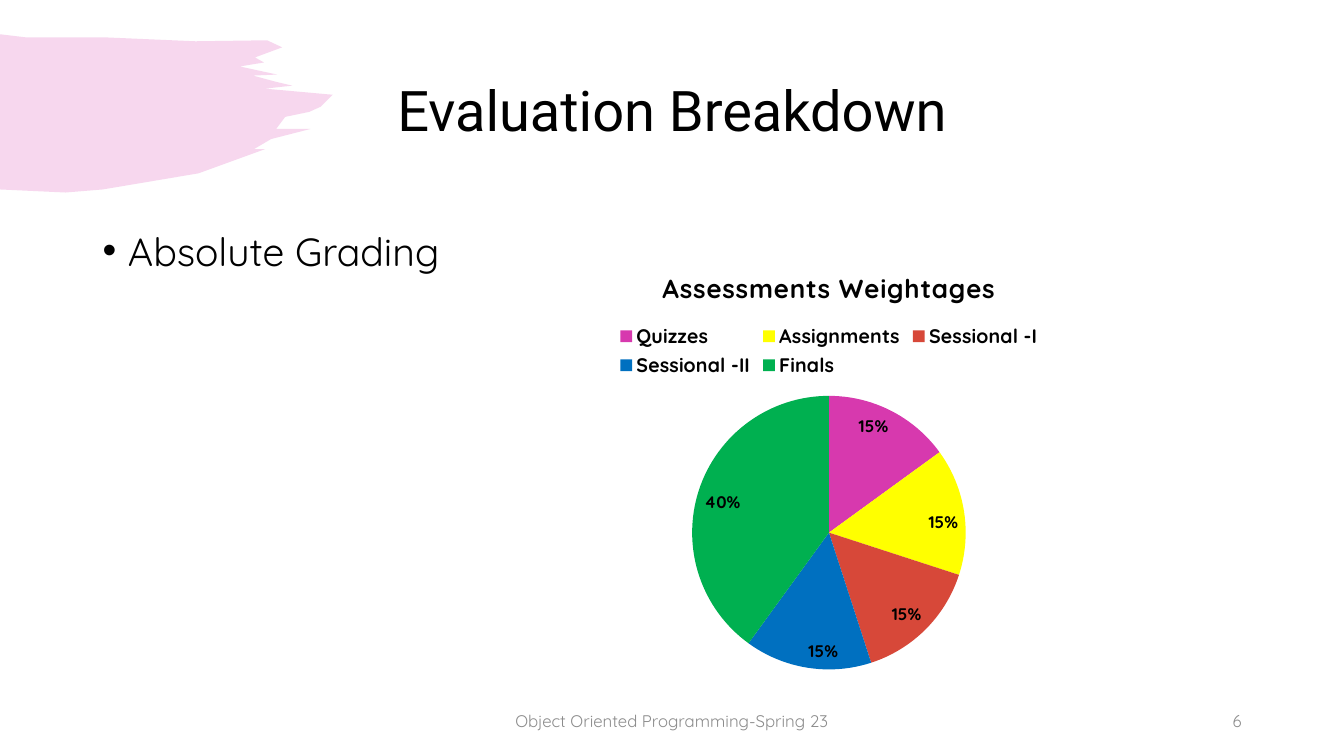
import pptx
import pptx.chart.data
import pptx.dml.color
import pptx.enum.chart
import pptx.enum.text
import pptx.oxml
import pptx.util
from lxml import etree

Cm = pptx.util.Cm
Align = pptx.enum.text.PP_ALIGN
Anchor = pptx.enum.text.MSO_ANCHOR

THEME = {
    "heading_font": "Roboto", "body_font": "Quicksand",
    "ink": "000000", "muted": "8C8C8C", "brush": "D739AE", "brush_alpha": "20%",
    "slices": ["D739AE", "FFFF00", "D74839", "0070C0", "00B050"],
    "title_size": 40, "body_size": 28, "chart_title_size": 18.6,
    "legend_size": 14, "label_size": 12, "footer_size": 12,
}


def style_font(font, size, name=THEME["body_font"], color=THEME["ink"], bold=False):
    values = {"size": pptx.util.Pt(size), "name": name, "bold": bold}
    for attribute, value in values.items():
        setattr(font, attribute, value)
    font.color.rgb = pptx.dml.color.RGBColor.from_string(color)


def write_line(shape, box, text, align, anchor, **font_values):
    """Place a text shape at box (cm) and give it one formatted paragraph."""
    for attribute, length in zip(("left", "top", "width", "height"), box):
        setattr(shape, attribute, Cm(length))
    frame = shape.text_frame
    frame_values = {"word_wrap": True, "vertical_anchor": anchor,
                    "auto_size": pptx.enum.text.MSO_AUTO_SIZE.NONE}
    for attribute, value in frame_values.items():
        setattr(frame, attribute, value)
    paragraph = frame.paragraphs[0]
    paragraph.alignment = align
    run = paragraph.add_run()
    run.text = text
    style_font(run.font, **font_values)
    return paragraph


presentation = pptx.Presentation()
presentation.slide_width, presentation.slide_height = Cm(33.87), Cm(19.05)
slide = presentation.slides.add_slide(presentation.slide_layouts[1])

# Brush stroke with a ragged right end, in 1/100 inch
BRUSH_OUTLINE = [
    (0, 34), (25, 37), (102, 37), (194, 41), (265, 40), (280, 47), (253, 57),
    (262, 62), (238, 66), (275, 74), (251, 75), (273, 81), (290, 85), (263, 88),
    (330, 94), (318, 106), (307, 111), (283, 116), (274, 128), (308, 128),
    (269, 138), (252, 148), (263, 148), (197, 172), (102, 188), (65, 191), (0, 188),
]
builder = slide.shapes.build_freeform(*BRUSH_OUTLINE[0], scale=Cm(2.54) / 100)
builder.add_line_segments(BRUSH_OUTLINE[1:], close=True)
brush = builder.convert_to_shape()
brush.shadow.inherit = False
brush.line.fill.background()
brush.fill.solid()
brush.fill.fore_color.rgb = pptx.dml.color.RGBColor.from_string(THEME["brush"])
brush_color = brush.element.spPr.find(".//" + pptx.oxml.ns.qn("a:srgbClr"))
alpha = int(THEME["brush_alpha"].rstrip("%")) * 1000
etree.SubElement(brush_color, pptx.oxml.ns.qn("a:alpha"), val=str(alpha))
brush.element.getparent().insert(2, brush.element)  # behind the placeholders

# Title and list
title = write_line(slide.shapes.title, (2.33, 1.02, 29.21, 3.68), "Evaluation Breakdown",
                   Align.CENTER, Anchor.MIDDLE,
                   size=THEME["title_size"], name=THEME["heading_font"])
title.line_spacing = 0.9
bullet = write_line(slide.placeholders[1], (2.33, 5.59, 29.21, 11.56), "Absolute Grading",
                    Align.LEFT, Anchor.TOP, size=THEME["body_size"])
bullet.space_before = pptx.util.Pt(10)
bullet_properties = bullet._p.get_or_add_pPr()
bullet_properties.set("marL", str(Cm(0.64)))
bullet_properties.set("indent", str(-Cm(0.64)))
etree.SubElement(bullet_properties, pptx.oxml.ns.qn("a:buFont"), typeface="Arial")
etree.SubElement(bullet_properties, pptx.oxml.ns.qn("a:buChar"), char="•")

# Footer and slide number
for left, width, text, align in [
    (11.22, 11.43, "Object Oriented Programming-Spring 23", Align.CENTER),
    (23.92, 7.62, "6", Align.RIGHT),
]:
    write_line(slide.shapes.add_textbox(0, 0, 0, 0), (left, 17.66, width, 1.01), text,
               align, Anchor.MIDDLE, size=THEME["footer_size"], color=THEME["muted"])

# Pie chart
CHART_TITLE = "Assessments Weightages"
weightages = pptx.chart.data.CategoryChartData()
weightages.categories = ["Quizzes", "Assignments", "Sessional -I", "Sessional -II", "Finals"]
weightages.add_series(CHART_TITLE, [15, 15, 15, 15, 40])
chart = slide.shapes.add_chart(pptx.enum.chart.XL_CHART_TYPE.PIE, Cm(11.76), Cm(6.3),
                               Cm(18.26), Cm(10.92), weightages).chart
style_font(chart.font, 10)

chart.has_title = True
chart.chart_title.include_in_layout = False
title_run = chart.chart_title.text_frame.paragraphs[0].add_run()
title_run.text = CHART_TITLE
style_font(title_run.font, THEME["chart_title_size"], bold=True)
title_run._r.get_or_add_rPr().set("spc", "50")

chart.has_legend = True
chart.legend.position = pptx.enum.chart.XL_LEGEND_POSITION.TOP
chart.legend.include_in_layout = False
style_font(chart.legend.font, THEME["legend_size"], bold=True)

plot = chart.plots[0]
plot.vary_by_categories = True
for index, color in enumerate(THEME["slices"]):
    fill = plot.series[0].points[index].format.fill
    fill.solid()
    fill.fore_color.rgb = pptx.dml.color.RGBColor.from_string(color)

labels = plot.series[0].data_labels
label_values = {"show_percentage": True, "show_value": False, "number_format": "0%",
                "number_format_is_linked": False,
                "position": pptx.enum.chart.XL_LABEL_POSITION.INSIDE_END}
for attribute, value in label_values.items():
    setattr(labels, attribute, value)
style_font(labels.font, THEME["label_size"], bold=True)

presentation.save("out.pptx")
